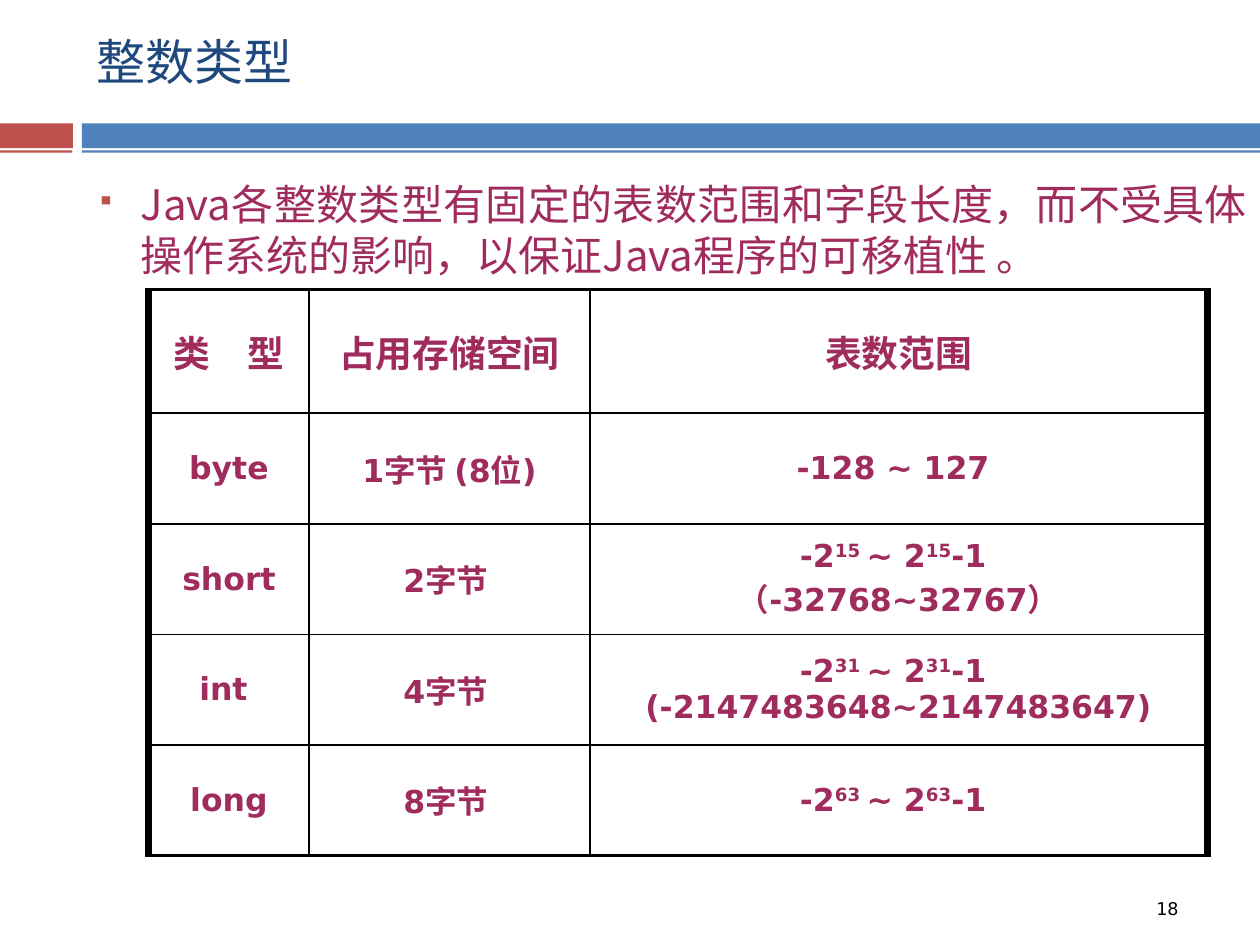
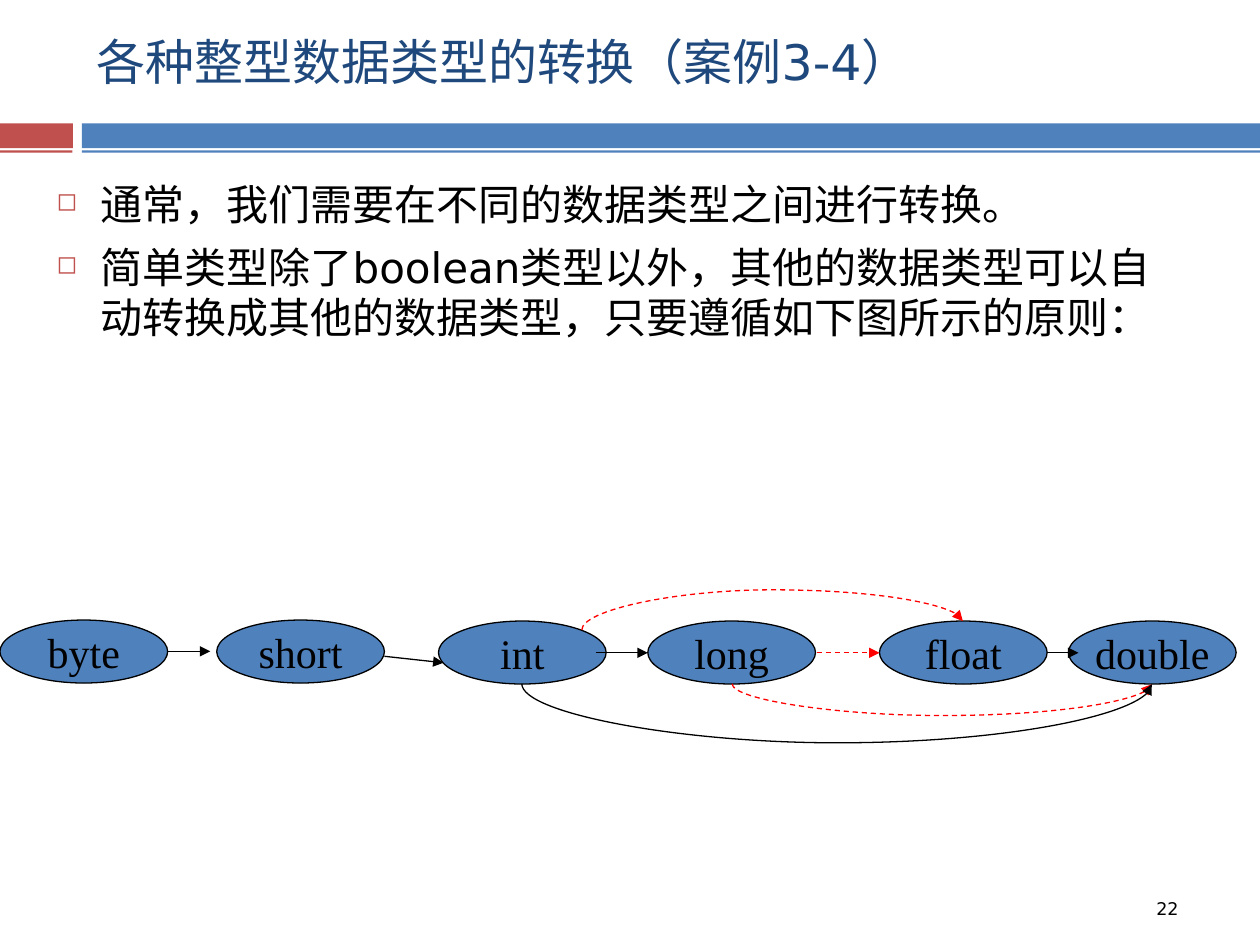
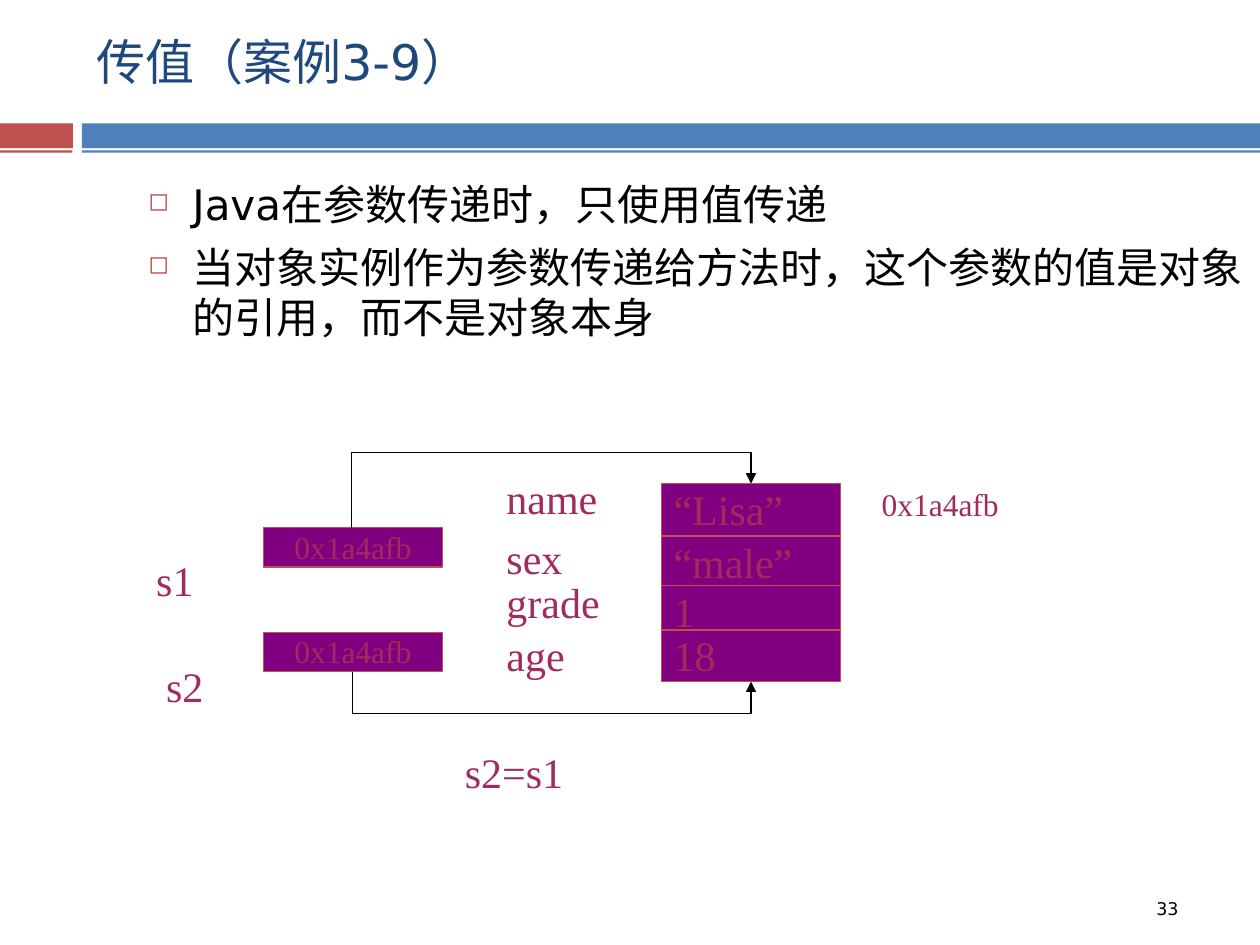
"""Build three slides on Java integer types, type conversion and passing by value."""
from lxml.etree import SubElement
from pptx import Presentation
from pptx.dml.color import RGBColor
from pptx.enum.dml import MSO_LINE_DASH_STYLE as Dash
from pptx.enum.shapes import MSO_CONNECTOR as Link, MSO_SHAPE as Shape
from pptx.enum.text import MSO_ANCHOR as Anchor, MSO_AUTO_SIZE as AutoSize, PP_ALIGN as Align
from pptx.oxml.ns import qn
from pptx.util import Cm, Pt

COLORS = {name: RGBColor.from_string(value) for name, value in {
    "red": "C0504D", "blue": "4F81BD", "title": "1F497D", "plum": "A02C5E",
    "purple": "800080", "black": "000000", "dash": "FF0000",
}.items()}
SANS, SERIF, TITLE = "DejaVu Sans", "Times New Roman", "TeX Gyre Pagella"
CJK, CJK_BODY = "Noto Sans CJK SC", "Noto Sans CJK JP"


def add_run(paragraph, text, size, color, font, bold=False):
    run = paragraph.add_run()
    run.text = text
    run.font.size = Pt(size)
    run.font.name = font
    run.font.bold = bold
    run.font.color.rgb = COLORS[color]
    SubElement(run.font._element, qn("a:ea"), typeface=CJK)
    return run


def add_arrow(slide, kind, start, end, color="black", bulge=0):
    (x1, y1), (x2, y2) = start, end
    if bulge:
        drop, span = max(abs(y2 - y1), 0.01), x2 - x1
        left, top = (x1 + x2 - drop) / 2, (y1 + y2 - span) / 2
        x1, y1, x2, y2 = left, top, left + drop, top + span
    connector = slide.shapes.add_connector(kind, Cm(x1), Cm(y1), Cm(x2), Cm(y2))
    connector.line.color.rgb = COLORS[color]
    connector.line.width = Pt(0.75)
    if color == "dash":
        connector.line.dash_style = Dash.DASH
    properties = connector._element.spPr
    if bulge:
        frame = properties.find(qn("a:xfrm"))
        frame.set("rot", str(270 * 60000))
        if bulge > 0:
            frame.set("flipH", "1")
        geometry = properties.find(qn("a:prstGeom"))
        adjustments = geometry.find(qn("a:avLst"))
        if adjustments is None:
            adjustments = SubElement(geometry, qn("a:avLst"))
        ratio = round(abs(bulge) / drop * 100000)
        SubElement(adjustments, qn("a:gd"), name="adj1", fmla=f"val {ratio}")
    SubElement(properties.find(qn("a:ln")), qn("a:tailEnd"), type="triangle")
    SubElement(properties, qn("a:effectLst"))


presentation = Presentation()
presentation.slide_width, presentation.slide_height = Cm(25.4), Cm(19.05)

bands = [
    ("red", 0, 2.49, 1.47, 0.5), ("blue", 1.65, 2.49, 23.75, 0.5),
    ("red", 0, 3.03, 1.46, 0.05), ("blue", 1.65, 3.03, 23.75, 0.05),
]
half_line, seven_points = ("a:spcPct", "50000"), ("a:spcPts", "700")
pages = [
    ("整数类型", TITLE, "18", 1.7, 23.7, "▪", half_line, "plum", CJK_BODY,
     ["Java各整数类型有固定的表数范围和字段长度，而不受具体操作系统的影响，以保证Java程序的可移植性 。"]),
    ("各种整型数据类型的转换（案例3-4）", SANS, "22", 0.89, 22.66, "◻", seven_points, "black", SANS,
     ["通常，我们需要在不同的数据类型之间进行转换。",
      "简单类型除了boolean类型以外，其他的数据类型可以自动转换成其他的数据类型，只要遵循如下图所示的原则："]),
    ("传值（案例3-9）", SANS, "33", 2.74, 22.66, "◻", seven_points, "black", SANS,
     ["Java在参数传递时，只使用值传递",
      "当对象实例作为参数传递给方法时，这个参数的值是对象的引用，而不是对象本身"]),
]
slides = []
for title, title_font, number, left, width, bullet, spacing, color, font, points in pages:
    slide = presentation.slides.add_slide(presentation.slide_layouts[6])
    slides.append(slide)
    for band_color, *place in bands:
        band = slide.shapes.add_shape(Shape.RECTANGLE, *map(Cm, place))
        band.shadow.inherit = False
        band.fill.solid()
        band.fill.fore_color.rgb = COLORS[band_color]
        band.line.fill.background()

    title_frame = slide.shapes.add_textbox(Cm(1.7), Cm(0.03), Cm(22.66), Cm(2.39)).text_frame
    title_frame.word_wrap = True
    title_frame.vertical_anchor = Anchor.MIDDLE
    add_run(title_frame.paragraphs[0], title, 28, "title", title_font)

    body_frame = slide.shapes.add_textbox(Cm(left), Cm(3.48), Cm(width), Cm(13.49)).text_frame
    body_frame.word_wrap = True
    for index, point in enumerate(points):
        paragraph = body_frame.add_paragraph() if index else body_frame.paragraphs[0]
        if bullet == "▪":
            paragraph.alignment = Align.JUSTIFY
        settings = paragraph._element.get_or_add_pPr()
        settings.set("marL", str(Cm(0.89)))
        settings.set("indent", str(-Cm(0.89)))
        tag, value = spacing
        SubElement(SubElement(settings, qn("a:spcBef")), qn(tag), val=value)
        bullet_color = SubElement(settings, qn("a:buClr"))
        SubElement(bullet_color, qn("a:srgbClr"), val=str(COLORS["red"]))
        SubElement(settings, qn("a:buSzPct"), val="60000")
        SubElement(settings, qn("a:buChar"), char=bullet)
        add_run(paragraph, point, 24, color, font)

    number_box = slide.shapes.add_textbox(Cm(23.06), Cm(17.98), Cm(1.07), Cm(0.94))
    add_run(number_box.text_frame.paragraphs[0], number, 10, "black", SANS)

types_slide, conversion_slide, passing_slide = slides

type_rows = [
    ["类　型", "占用存储空间", "表数范围"],
    ["byte", "1^字节 ^(8位)", "-128 ~ 127 "],
    ["short", "2^字节 ", "-2^15 ^~ 2^15^-1 \n（-32768~32767）"],
    ["int ", "4^字节 ", "-2^31 ^~ 2^31^-1 \n(-2147483648~2147483647)"],
    ["long", "8^字节 ", "-2^63 ^~ 2^63^-1 "],
]
column_widths = [3.23, 5.66, 12.45]
row_heights = [2.49, 2.23, 2.23, 2.23, 2.22]
table = types_slide.shapes.add_table(
    5, 3, Cm(3), Cm(5.84), Cm(sum(column_widths)), Cm(sum(row_heights))).table
table.first_row = table.horz_banding = False
for column, width in zip(table.columns, column_widths):
    column.width = Cm(width)
for row, height in zip(table.rows, row_heights):
    row.height = Cm(height)
for row, texts in enumerate(type_rows):
    for column, text in enumerate(texts):
        cell = table.cell(row, column)
        cell.vertical_anchor = Anchor.MIDDLE
        for index, line in enumerate(text.split("\n")):
            frame = cell.text_frame
            paragraph = frame.add_paragraph() if index else frame.paragraphs[0]
            paragraph.alignment = Align.CENTER
            for position, part in enumerate(line.split("^")):
                marked = position % 2 == 1
                font = CJK if marked and column == 1 else SANS
                run = add_run(paragraph, part, 18 if row else 21, "plum", font, True)
                if marked and column == 2:
                    run.font._element.set("baseline", "30000")
        borders = {
            "a:lnL": 4.5 if column == 0 else 1, "a:lnR": 4.5 if column == 2 else 1,
            "a:lnT": 2.25 if row == 0 else 1, "a:lnB": 2.25 if row == 4 else 1,
        }
        settings = cell._tc.get_or_add_tcPr()
        for tag, weight in borders.items():
            border = SubElement(settings, qn(tag), w=str(Pt(weight)))
            SubElement(SubElement(border, qn("a:solidFill")), qn("a:srgbClr"), val=str(COLORS["black"]))
        cell.fill.background()

type_ovals = [
    ("byte", 0, 12.5), ("short", 4.37, 12.5), ("int", 8.84, 12.52),
    ("long", 13.06, 12.52), ("float", 17.73, 12.52), ("double", 21.54, 12.52),
]
for name, left, top in type_ovals:
    oval = conversion_slide.shapes.add_shape(Shape.OVAL, Cm(left), Cm(top), Cm(3.38), Cm(1.27))
    oval.shadow.inherit = False
    oval.fill.solid()
    oval.fill.fore_color.rgb = COLORS["blue"]
    oval.line.color.rgb = COLORS["black"]
    oval.line.width = Pt(0.75)
    oval.text_frame.word_wrap = False
    oval.text_frame.vertical_anchor = Anchor.MIDDLE
    paragraph = oval.text_frame.paragraphs[0]
    paragraph.alignment = Align.CENTER
    add_run(paragraph, name, 24, "black", SERIF)

conversions = [
    (Link.STRAIGHT, (3.38, 13.13), (4.24, 13.13), "black", 0),
    (Link.STRAIGHT, (7.75, 13.23), (8.94, 13.36), "black", 0),
    (Link.STRAIGHT, (12.01, 13.16), (13.06, 13.16), "black", 0),
    (Link.STRAIGHT, (16.46, 13.16), (17.73, 13.16), "dash", 0),
    (Link.STRAIGHT, (21.11, 13.16), (21.74, 13.16), "black", 0),
    (Link.CURVE, (11.73, 12.7), (19.41, 12.52), "dash", -0.81),
    (Link.CURVE, (14.76, 13.79), (23.22, 13.79), "dash", 0.64),
    (Link.CURVE, (10.52, 13.79), (23.22, 13.79), "black", 1.19),
]
for conversion in conversions:
    add_arrow(conversion_slide, *conversion)

variable_size, pointer_size, field_size = (3.38, 1.02), (3.61, 0.79), (3.61, 1.04)
memory_boxes = [
    ("s1", 2.9, 11.18, variable_size, 24, False),
    ("s2", 3.1, 13.31, variable_size, 24, False),
    ("0x1a4afb", 5.31, 10.64, pointer_size, 18, True),
    ("0x1a4afb", 5.31, 12.75, pointer_size, 18, True),
    ("“Lisa”", 13.33, 9.75, field_size, 24, True),
    ("“male”", 13.33, 10.82, field_size, 24, True),
    ("1", 13.33, 11.81, field_size, 24, True),
    ("18", 13.33, 12.7, field_size, 24, True),
    ("name", 9.96, 9.53, variable_size, 24, False),
    ("sex", 9.96, 10.74, variable_size, 24, False),
    ("grade", 9.96, 11.63, variable_size, 24, False),
    ("age", 9.96, 12.7, variable_size, 24, False),
    ("0x1a4afb", 17.15, 9.78, pointer_size, 18, False),
    ("s2=s1", 9.12, 15.04, variable_size, 24, False),
]
for text, left, top, (width, height), size, filled in memory_boxes:
    place = map(Cm, (left, top, width, height))
    if filled:
        box = passing_slide.shapes.add_shape(Shape.RECTANGLE, *place)
        box.shadow.inherit = False
        box.fill.solid()
        box.fill.fore_color.rgb = COLORS["purple"]
        box.line.color.rgb = COLORS["red"]
        box.line.width = Pt(0.75)
    else:
        box = passing_slide.shapes.add_textbox(*place)
    frame = box.text_frame
    frame.word_wrap = True
    frame.auto_size = AutoSize.SHAPE_TO_FIT_TEXT
    frame.vertical_anchor = Anchor.TOP
    frame.margin_top = frame.margin_bottom = 0
    paragraph = frame.paragraphs[0]
    paragraph.alignment = Align.CENTER if size == 18 else Align.LEFT
    before = SubElement(paragraph._element.get_or_add_pPr(), qn("a:spcBef"))
    SubElement(before, qn("a:spcPct"), val="50000")
    add_run(paragraph, text, size, "plum", SERIF)

add_arrow(passing_slide, Link.ELBOW, (7.09, 10.64), (15.14, 9.75), bulge=-1.52)
add_arrow(passing_slide, Link.ELBOW, (7.11, 13.54), (15.14, 13.74), bulge=0.84)

presentation.save("out.pptx")
